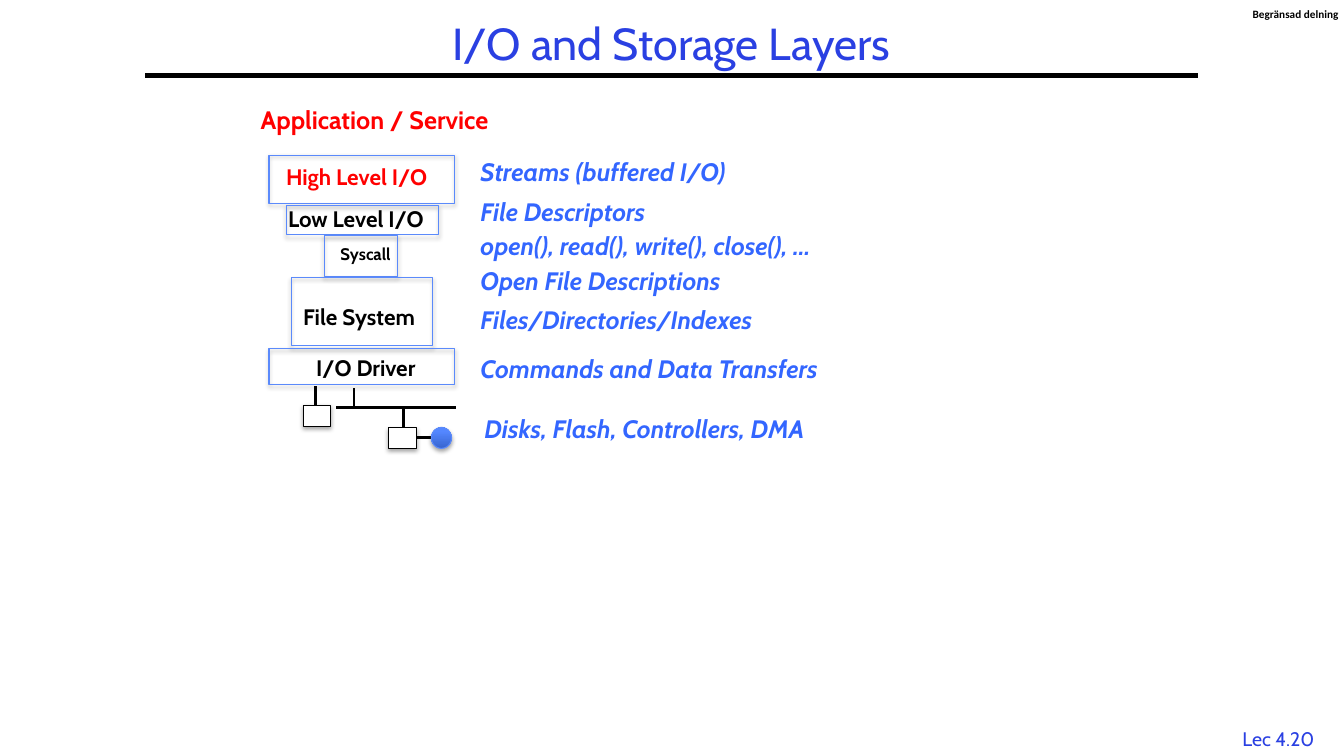
from lxml.etree import SubElement
from pptx import Presentation
from pptx.dml.color import RGBColor as Rgb
from pptx.enum.shapes import MSO_CONNECTOR as Connector, MSO_SHAPE as Shape
from pptx.enum.text import MSO_ANCHOR as Anchor, MSO_AUTO_SIZE as AutoSize, PP_ALIGN as Align
from pptx.oxml.ns import qn
from pptx.util import Cm, Pt

COLOURS = {
    "black": "000000", "white": "FFFFFF", "red": "FF0000", "heading": "2A40E2",
    "note": "3366FF", "outline": "5B8AFB", "disk_dark": "3764CE", "disk_light": "5487FF",
}
LAYERS = [
    ("High Level I/O", "red", 16, (6.96, 3.99, 4.47, 0.94), (6.78, 3.91, 4.67, 1.22)),
    ("Low Level I/O", "black", 16, (7.01, 5.05, 4.34, 0.94), (7.21, 5.18, 3.84, 0.74)),
    ("Syscall", "black", 12, (8.33, 6.02, 1.98, 0.76), (8.18, 5.94, 1.85, 1.02)),
    ("File System", "black", 16, (7.39, 7.52, 3.68, 0.94), (7.34, 6.99, 3.56, 1.73)),
    ("I/O Driver", "black", 16, (7.72, 8.79, 3.1, 0.94), (6.78, 8.79, 4.67, 0.89)),
]
NOTES = [
    ("Streams (buffered I/O)", 11.86, 3.81),
    ("File Descriptors", 11.86, 4.83),
    ("open(), read(), write(), close(), …", 11.86, 5.69),
    ("Open File Descriptions", 11.86, 6.55),
    ("Files/Directories/Indexes", 11.86, 7.54),
    ("Commands and Data Transfers", 11.86, 8.79),
    ("Disks, Flash, Controllers, DMA", 11.96, 10.29),
]
WIRES = [
    (8.48, 10.26, 11.48, 10.26), (8.92, 9.78, 8.92, 10.26), (10.16, 10.26, 10.16, 10.77),
    (10.49, 11.02, 10.87, 11.02), (7.95, 9.73, 7.95, 10.21),
]
DEVICES = [(9.8, 10.77, 0.69, 0.53), (7.65, 10.21, 0.69, 0.53)]


class Painter:
    """Draws styled elements on the current slide."""

    def __init__(self, page, font="Cabin"):
        self.page = page
        self.font = font

    def colour(self, name):
        return Rgb.from_string(COLOURS[name])

    def set_words(self, frame, words, size, colour, bold=False, italic=False,
                  align=Align.LEFT, font=None):
        para = frame.paragraphs[0]
        para.text = words
        para.alignment = align
        para.font.name = font or self.font
        para.font.size = Pt(size)
        para.font.bold = bold
        para.font.italic = italic
        para.font.color.rgb = self.colour(colour)
        return para

    def title(self, words, area):
        title = self.page.shapes.title
        title.left, title.top, title.width, title.height = map(Cm, area)
        frame = title.text_frame
        frame.auto_size = AutoSize.NONE
        frame.vertical_anchor = Anchor.MIDDLE
        para = self.set_words(frame, words, 32, "heading", align=Align.CENTER)
        para.line_spacing = 0.9

    def text(self, words, area, size, colour, inset=True, **style):
        frame = self.page.shapes.add_textbox(*map(Cm, area)).text_frame
        frame.word_wrap = True
        if not inset:
            frame.margin_left = frame.margin_right = 0
            frame.margin_top = frame.margin_bottom = 0
        self.set_words(frame, words, size, colour, **style)

    def box(self, area, outline, fill=None, kind=Shape.RECTANGLE):
        box = self.page.shapes.add_shape(kind, *map(Cm, area))
        box.line.color.rgb = self.colour(outline)
        box.line.width = Pt(0.75)
        if fill:
            box.fill.solid()
            box.fill.fore_color.rgb = self.colour(fill)
        else:
            box.fill.background()
        self.shade(box)
        return box

    def shade(self, box):
        box.shadow.inherit = False
        effects = box._element.spPr.find(qn("a:effectLst"))
        shadow = SubElement(effects, qn("a:outerShdw"), blurRad=str(Pt(3.1)),
                            dist=str(Pt(1.8)), dir="5400000", rotWithShape="0")
        tint = SubElement(shadow, qn("a:srgbClr"), val=COLOURS["black"])
        SubElement(tint, qn("a:alpha"), val="35000")

    def disk(self, area):
        disk = self.box(area, "outline", kind=Shape.OVAL)
        disk.fill.gradient()
        disk.fill.gradient_angle = 90
        stops = zip(disk.fill.gradient_stops, ("disk_dark", "disk_light"), (0, 0.8))
        for stop, name, position in stops:
            stop.color.rgb = self.colour(name)
            stop.position = position

    def line(self, ends, width=2):
        line = self.page.shapes.add_connector(Connector.STRAIGHT, *map(Cm, ends))
        line.line.color.rgb = self.colour("black")
        line.line.width = Pt(width)
        SubElement(line._element.spPr, qn("a:effectLst"))


def main():
    """Build the slide and save it."""
    deck = Presentation()
    deck.slide_width, deck.slide_height = Cm(33.87), Cm(19.05)
    painter = Painter(deck.slides.add_slide(deck.slide_layouts[5]))

    painter.text("Lec 4.20", (30.99, 18.19, 2.46, 0.84), 14, "heading", align=Align.CENTER)
    painter.line((3.66, 1.9, 30.2, 1.9), 3)
    painter.text("Begränsad delning", (31.57, 0.18, 2.3, 0.33), 8, "black",
                 inset=False, bold=True, font="Calibri")
    painter.title("I/O and Storage Layers", (3.66, 0.43, 26.52, 1.47))

    for words, colour, size, label_area, box_area in LAYERS:
        painter.text(words, label_area, size, colour, bold=True)
        painter.box(box_area, "outline")
    for wire in WIRES:
        painter.line(wire)
    for device in DEVICES:
        painter.box(device, "black", "white")
    painter.disk((10.87, 10.77, 0.51, 0.53))

    painter.text("Application / Service", (6.32, 2.51, 6.81, 1.02), 18, "red", bold=True)
    for words, left, top in NOTES:
        painter.text(words, (left, top, 10.3, 1.02), 18, "note", bold=True, italic=True)

    deck.save("out.pptx")


if __name__ == "__main__":
    main()
